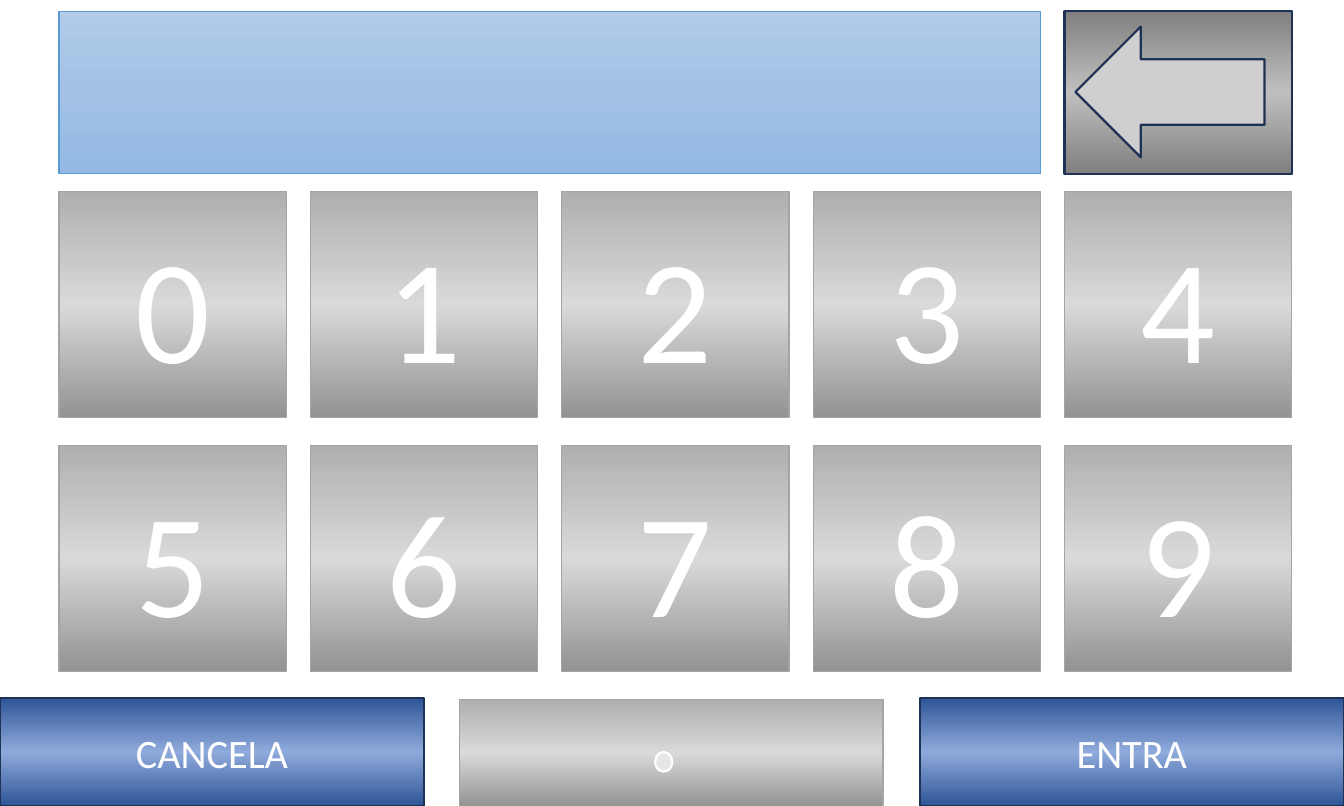
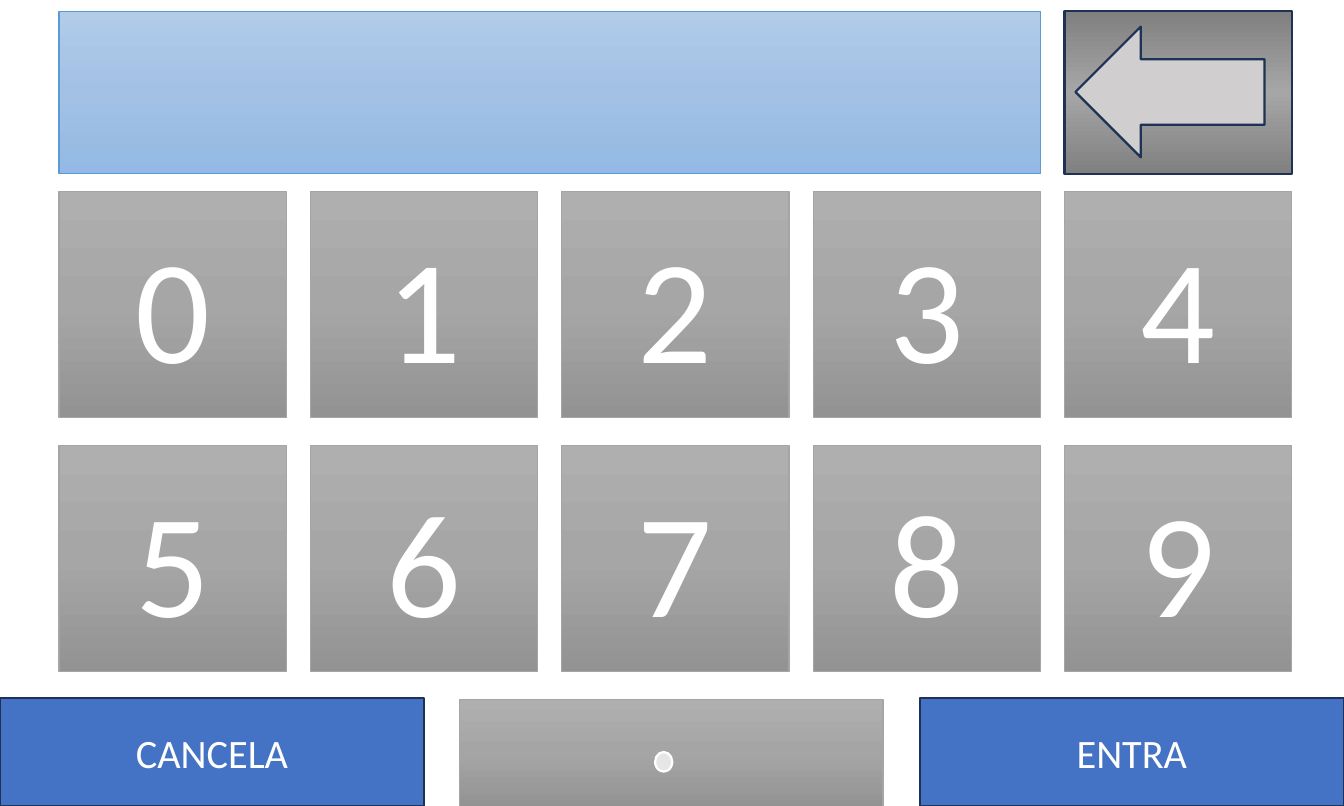
from copy import deepcopy
from dataclasses import dataclass
from typing import NamedTuple

from pptx import Presentation
from pptx.dml.color import RGBColor
from pptx.enum.shapes import MSO_SHAPE
from pptx.enum.text import MSO_ANCHOR, PP_ALIGN
from pptx.oxml.ns import qn
from pptx.shapes.autoshape import Shape
from pptx.shapes.shapetree import GroupShapes, SlideShapes
from pptx.util import Cm, Pt

Colors = tuple[str, ...]  # one colour is a solid fill, three are a gradient


# Theme
@dataclass(frozen=True)
class Theme:
    font: str = "Calibri"
    digit_size: int = 66
    label_size: int = 18
    thin: float = 0.5
    thick: float = 1
    text: str = "FFFFFF"
    key_line: str = "A5A5A5"
    display_line: str = "5B9BD5"
    dark_line: str = "1E3256"
    display: Colors = ("B1CBE9", "A3C1E5", "93B9E4")
    arrow: Colors = ("D0CECE",)
    dot: Colors = ("E7E6E6",)


THEME = Theme()


# Fills that differ between the two states of the keypad
class KeypadState(NamedTuple):
    digit: Colors
    point: Colors
    erase: Colors
    action: Colors


STATES = (
    KeypadState(
        digit=("AFAFAF", "D9D9D9", "939393"),
        point=("AFAFAF", "D9D9D9", "939393"),
        erase=("808080", "BFBFBF", "808080"),
        action=("2F5597", "8FAADC", "2F5597"),
    ),
    KeypadState(
        digit=("AFAFAF", "A6A6A6", "939393"),
        point=("AFAFAF", "A5A5A5", "939393"),
        erase=("808080", "A6A6A6", "808080"),
        action=("4472C4",),
    ),
)


class Area(NamedTuple):
    left: float
    top: float
    width: float
    height: float


@dataclass(frozen=True)
class Look:
    fill: Colors
    line: str
    weight: float


# Layout in centimetres
PAGE_WIDTH, PAGE_HEIGHT = 21.17, 12.7
COLUMNS = 5
FIRST_KEY = Area(0.93, 3.02, 3.58, 3.56)
COLUMN_STEP, ROW_STEP = 3.96, 4.0
ERASE_LEFT = FIRST_KEY.left + (COLUMNS - 1) * COLUMN_STEP
DISPLAY_WIDTH = (COLUMNS - 2) * COLUMN_STEP + FIRST_KEY.width

DISPLAY = Area(FIRST_KEY.left, 0.18, DISPLAY_WIDTH, 2.56)
ERASE = Area(ERASE_LEFT, DISPLAY.top, FIRST_KEY.width, DISPLAY.height)
ARROW = Area(16.94, 0.42, 2.98, 2.06)
CANCEL = Area(0, 11, 6.68, 1.7)
ENTER = CANCEL._replace(left=PAGE_WIDTH - CANCEL.width)
POINT = Area(7.24, 11.02, 6.67, 1.69)
DOT = Area(10.32, 11.85, 0.27, 0.31)


def paint(box: Shape, colors: Colors) -> None:
    """Fill with one colour, or with a gradient running downwards."""
    if len(colors) == 1:
        box.fill.solid()
        box.fill.fore_color.rgb = RGBColor.from_string(colors[0])
        return
    box.fill.gradient()
    box.fill.gradient_angle = 270
    # The default gradient has two stops, so copy the first for each extra one
    stop_list = next(box.element.iter(qn("a:gsLst")))
    for _ in colors[2:]:
        stop_list.insert(1, deepcopy(stop_list[0]))
    for index, (stop, color) in enumerate(zip(box.fill.gradient_stops, colors)):
        stop.position = index / (len(colors) - 1)
        stop.color.rgb = RGBColor.from_string(color)


def add_box(
    shapes: SlideShapes | GroupShapes,
    area: Area,
    look: Look,
    kind: MSO_SHAPE = MSO_SHAPE.RECTANGLE,
) -> Shape:
    box = shapes.add_shape(kind, *(Cm(round(length, 2)) for length in area))
    box.shadow.inherit = False
    paint(box, look.fill)
    box.line.color.rgb = RGBColor.from_string(look.line)
    box.line.width = Pt(look.weight)
    return box


def write(box: Shape, text: str, size: int) -> None:
    box.text_frame.vertical_anchor = MSO_ANCHOR.MIDDLE
    para = box.text_frame.paragraphs[0]
    para.alignment = PP_ALIGN.CENTER
    span = para.add_run()
    span.text = text
    for name, value in {"name": THEME.font, "size": Pt(size)}.items():
        setattr(span.font, name, value)
    span.font.color.rgb = RGBColor.from_string(THEME.text)


def draw_keypad(shapes: SlideShapes, state: KeypadState) -> None:
    # Digit keys
    digit_look = Look(state.digit, THEME.key_line, THEME.thin)
    for digit in range(2 * COLUMNS):
        row, column = divmod(digit, COLUMNS)
        area = FIRST_KEY._replace(
            left=FIRST_KEY.left + column * COLUMN_STEP,
            top=FIRST_KEY.top + row * ROW_STEP,
        )
        write(add_box(shapes, area, digit_look), str(digit), THEME.digit_size)

    # Display
    add_box(shapes, DISPLAY, Look(THEME.display, THEME.display_line, THEME.thin))

    # Erase key
    erase = shapes.add_group_shape().shapes
    add_box(erase, ERASE, Look(state.erase, THEME.dark_line, THEME.thick))
    arrow_look = Look(THEME.arrow, THEME.dark_line, THEME.thick)
    add_box(erase, ARROW, arrow_look, MSO_SHAPE.LEFT_ARROW)

    # Action keys
    action_look = Look(state.action, THEME.dark_line, THEME.thick)
    for label, area in {"ENTRA": ENTER, "CANCELA": CANCEL}.items():
        write(add_box(shapes, area, action_look), label, THEME.label_size)

    # Decimal point key
    point = shapes.add_group_shape().shapes
    add_box(point, POINT, Look(state.point, THEME.key_line, THEME.thin))
    add_box(point, DOT, Look(THEME.dot, THEME.text, THEME.thick), MSO_SHAPE.OVAL)


def main() -> None:
    deck = Presentation()
    deck.slide_width, deck.slide_height = Cm(PAGE_WIDTH), Cm(PAGE_HEIGHT)
    for state in STATES:
        page = deck.slides.add_slide(deck.slide_layouts[6])
        draw_keypad(page.shapes, state)
    deck.save("out.pptx")


if __name__ == "__main__":
    main()
